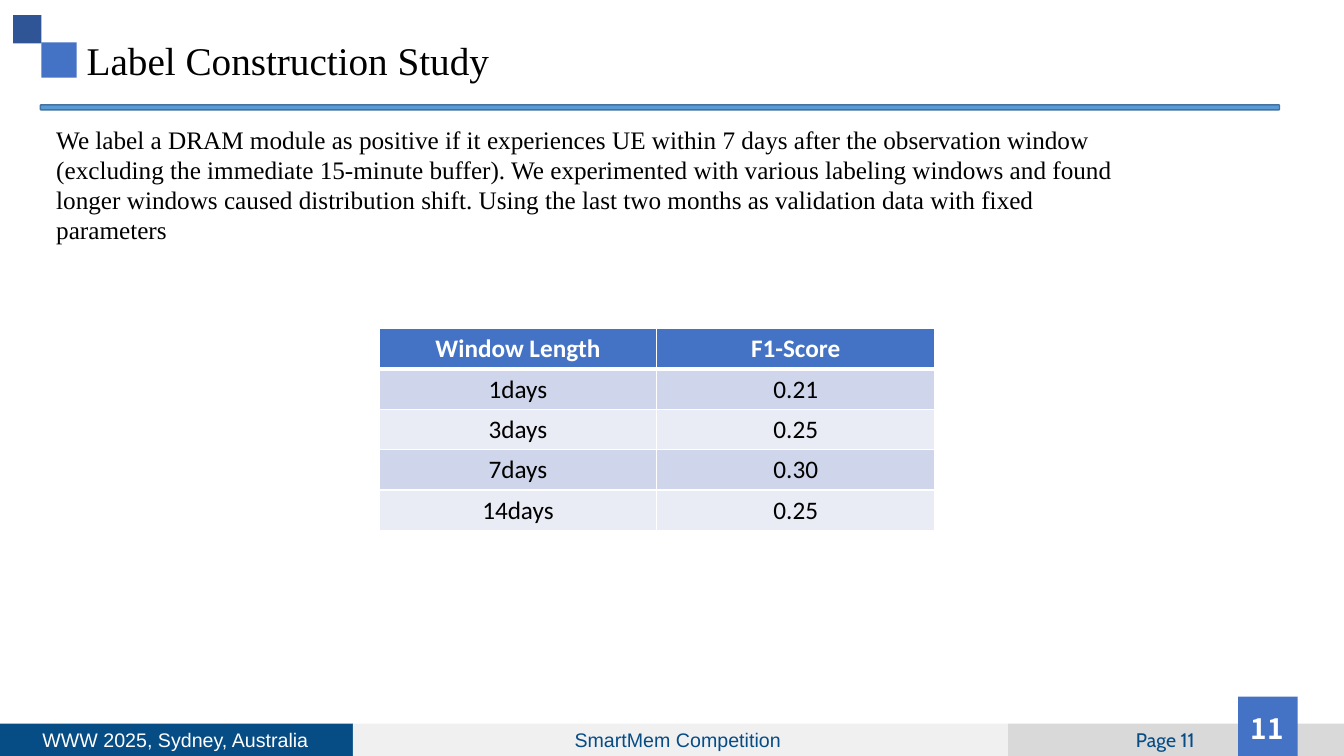
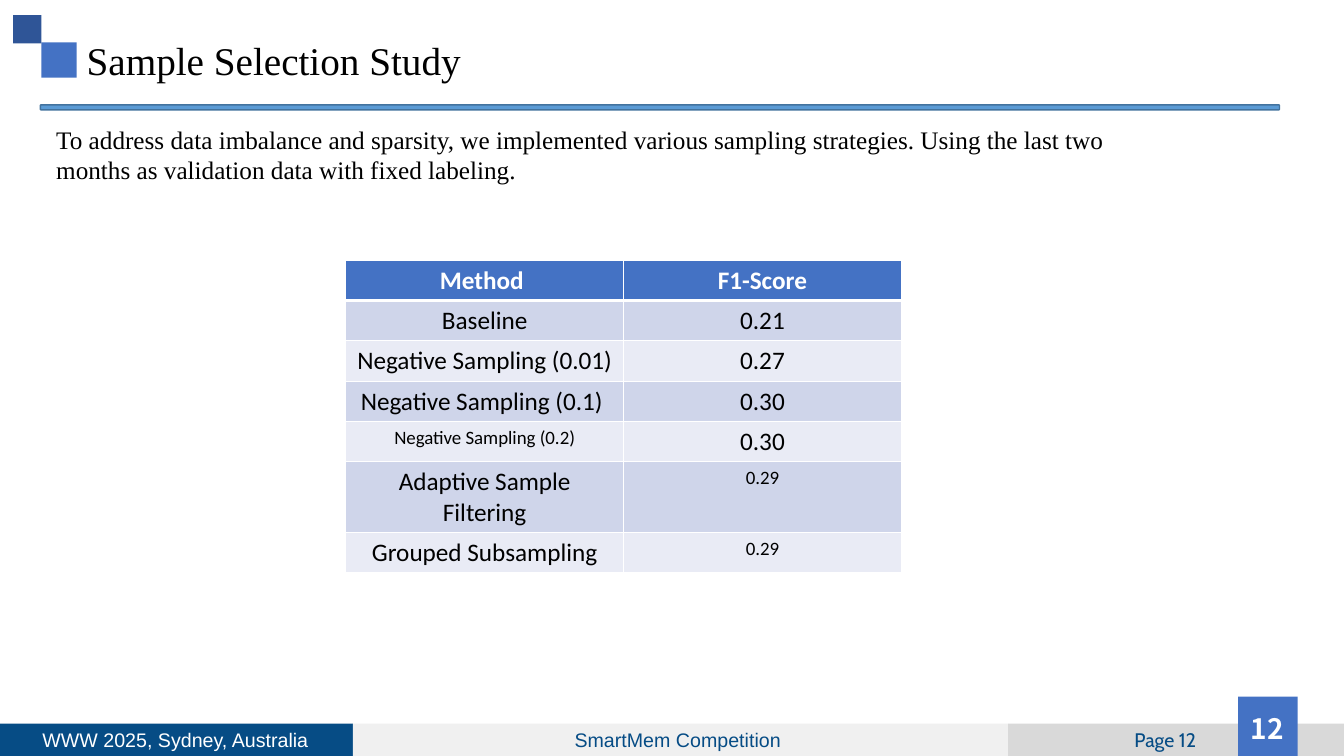
from dataclasses import dataclass
from typing import Optional

from lxml import etree
from pptx import Presentation
from pptx.dml.color import RGBColor
from pptx.enum import shapes, text
from pptx.oxml import ns
from pptx.util import Inches, Pt

NAVY = RGBColor(0x06, 0x4C, 0x85)
BLUE = RGBColor(0x44, 0x72, 0xC4)
DARK_BLUE = RGBColor(0x2F, 0x55, 0x97)
RULE_FILL = RGBColor(0x5B, 0x9B, 0xD5)
RULE_EDGE = RGBColor(0x43, 0x73, 0x9E)
PALE_GREY = RGBColor(0xF0, 0xF0, 0xF0)
GREY = RGBColor(0xD9, 0xD9, 0xD9)
BANDS = (RGBColor(0xCF, 0xD5, 0xEA), RGBColor(0xE9, 0xEB, 0xF5))
WHITE = RGBColor(0xFF, 0xFF, 0xFF)
BLACK = RGBColor(0x00, 0x00, 0x00)

SERIF = "Times New Roman"
TABLE_SIZE = 18
SMALL_SIZE = 13.5
COLUMN_WIDTH = 2.755
ROW_HEIGHT = 0.39


@dataclass(frozen=True)
class Box:
    left: float
    top: float
    width: float
    height: float

    def lengths(self) -> tuple:
        return tuple(Inches(v) for v in (self.left, self.top, self.width, self.height))


@dataclass(frozen=True)
class Style:
    font: str
    size: float
    color: RGBColor
    bold: bool = False
    align: text.PP_ALIGN = text.PP_ALIGN.CENTER


@dataclass(frozen=True)
class Block:
    box: Box
    fill: RGBColor


@dataclass(frozen=True)
class Label:
    box: Box
    wording: str
    style: Style
    anchor: text.MSO_ANCHOR = text.MSO_ANCHOR.MIDDLE


@dataclass(frozen=True)
class Study:
    page: int
    title: str
    summary: str
    summary_height: float
    table_left: float
    table_top: float
    rows: tuple
    small_cells: tuple = ()


TITLE_BOX = Box(0.76, 0.31, 9.59, 0.57)
RULE_BOX = Box(0.4, 1.04, 12.29, 0.05)
TITLE_STYLE = Style(SERIF, 28, BLACK, align=text.PP_ALIGN.LEFT)
SUMMARY_STYLE = Style(SERIF, 18, BLACK, align=text.PP_ALIGN.LEFT)
PAGE_STYLE = Style("Cabin", 14, NAVY)
NUMBER_STYLE = Style("Noto Sans CJK SC", 20, WHITE, bold=True)

BLOCKS = (
    Block(Box(0, 7.18, 3.5, 0.32), NAVY),
    Block(Box(3.5, 7.18, 6.5, 0.32), PALE_GREY),
    Block(Box(10, 7.18, 3.34, 0.33), GREY),
    Block(Box(0.41, 0.42, 0.35, 0.35), BLUE),
    Block(Box(0.13, 0.15, 0.28, 0.28), DARK_BLUE),
    Block(Box(12.28, 6.91, 0.59, 0.59), BLUE),
)
FOOTER_LABELS = (
    Label(Box(3.5, 7.18, 6.5, 0.32), "SmartMem Competition ", Style("Arial", 14, NAVY)),
    Label(Box(0.24, 7.14, 3, 0.4), "WWW 2025, Sydney, Australia", Style("Arial", 14, WHITE)),
)

STUDIES = (
    Study(
        11,
        "Label Construction Study",
        "We label a DRAM module as positive if it experiences UE within 7 days after the "
        "observation window (excluding the immediate 15-minute buffer). We experimented with "
        "various labeling windows and found longer windows caused distribution shift. Using "
        "the last two months as validation data with fixed parameters",
        1.31, 3.76, 3.26,
        (
            ("Window Length", "F1-Score"),
            ("1days", "0.21"),
            ("3days", "0.25"),
            ("7days", "0.30"),
            ("14days", "0.25"),
        ),
    ),
    Study(
        12,
        "Sample Selection Study",
        "To address data imbalance and sparsity, we implemented various sampling strategies. "
        "Using the last two months as validation data with fixed labeling.",
        0.71, 3.43, 2.58,
        (
            ("Method ", "F1-Score"),
            ("Baseline", "0.21"),
            ("Negative Sampling (0.01) ", "0.27"),
            ("Negative Sampling (0.1) ", "0.30"),
            ("Negative Sampling (0.2)", "0.30"),
            ("Adaptive Sample Filtering", "0.29"),
            ("Grouped Subsampling", "0.29"),
        ),
        small_cells=((4, 0), (5, 1), (6, 1)),
    ),
)


def write(frame, wording: str, style: Style) -> None:
    paragraph = frame.paragraphs[0]
    paragraph.alignment = style.align
    run = paragraph.add_run()
    run.text = wording
    values = {"name": style.font, "size": Pt(style.size), "bold": style.bold}
    for key, value in values.items():
        setattr(run.font, key, value)
    run.font.color.rgb = style.color


def add_block(slide, block: Block, kind=shapes.MSO_SHAPE.RECTANGLE,
              edge: Optional[RGBColor] = None) -> None:
    shape = slide.shapes.add_shape(kind, *block.box.lengths())
    shape.shadow.inherit = False
    shape.fill.solid()
    shape.fill.fore_color.rgb = block.fill
    if edge is None:
        shape.line.fill.background()
    else:
        shape.line.color.rgb = edge
        shape.line.width = Pt(1)


def add_label(slide, label: Label) -> None:
    frame = slide.shapes.add_textbox(*label.box.lengths()).text_frame
    frame.word_wrap = True
    frame.vertical_anchor = label.anchor
    write(frame, label.wording, label.style)


def set_title(slide, wording: str) -> None:
    title = slide.shapes.title
    title.left, title.top, title.width, title.height = TITLE_BOX.lengths()
    frame = title.text_frame
    settings = {
        "word_wrap": True,
        "auto_size": text.MSO_AUTO_SIZE.NONE,
        "vertical_anchor": text.MSO_ANCHOR.TOP,
    }
    for key, value in settings.items():
        setattr(frame, key, value)
    write(frame, wording, TITLE_STYLE)


def set_borders(cell, top: float, bottom: float) -> None:
    properties = cell._tc.get_or_add_tcPr()
    for side, width in {"lnL": 1, "lnR": 1, "lnT": top, "lnB": bottom}.items():
        line = etree.SubElement(properties, ns.qn(f"a:{side}"), w=str(Pt(width)))
        fill = etree.SubElement(line, ns.qn("a:solidFill"))
        etree.SubElement(fill, ns.qn("a:srgbClr"), val=str(WHITE))


def add_scores(slide, study: Study) -> None:
    row_count, column_count = len(study.rows), len(study.rows[0])
    box = Box(study.table_left, study.table_top,
              COLUMN_WIDTH * column_count, ROW_HEIGHT * row_count)
    table = slide.shapes.add_table(row_count, column_count, *box.lengths()).table
    for column in table.columns:
        column.width = Inches(COLUMN_WIDTH)
    for r, row in enumerate(study.rows):
        table.rows[r].height = Inches(ROW_HEIGHT)
        header = r == 0
        for c, wording in enumerate(row):
            cell = table.cell(r, c)
            set_borders(cell, top=3 if r == 1 else 1, bottom=3 if header else 1)
            cell.fill.solid()
            cell.fill.fore_color.rgb = BLUE if header else BANDS[(r - 1) % 2]
            size = SMALL_SIZE if (r, c) in study.small_cells else TABLE_SIZE
            write(cell.text_frame, wording,
                  Style("Calibri", size, WHITE if header else BLACK, bold=header))


def add_frame(slide, page: int) -> None:
    for block in BLOCKS:
        add_block(slide, block)
    add_block(slide, Block(RULE_BOX, RULE_FILL),
              shapes.MSO_SHAPE.ROUNDED_RECTANGLE, RULE_EDGE)
    page_labels = (
        Label(Box(10.08, 7.14, 3, 0.4), f"Page {page} ", PAGE_STYLE),
        Label(Box(11.81, 7.01, 1.52, 0.4), str(page), NUMBER_STYLE, text.MSO_ANCHOR.TOP),
    )
    for label in FOOTER_LABELS + page_labels:
        add_label(slide, label)


def add_study(deck, study: Study) -> None:
    slide = deck.slides.add_slide(deck.slide_layouts.get_by_name("Title Only"))
    set_title(slide, study.title)
    add_frame(slide, study.page)
    add_label(slide, Label(Box(0.46, 1.18, 10.83, study.summary_height), study.summary,
                           SUMMARY_STYLE, text.MSO_ANCHOR.TOP))
    add_scores(slide, study)


def main() -> None:
    deck = Presentation()
    deck.slide_width, deck.slide_height = Inches(13.33), Inches(7.5)
    for study in STUDIES:
        add_study(deck, study)
    deck.save("out.pptx")


if __name__ == "__main__":
    main()
